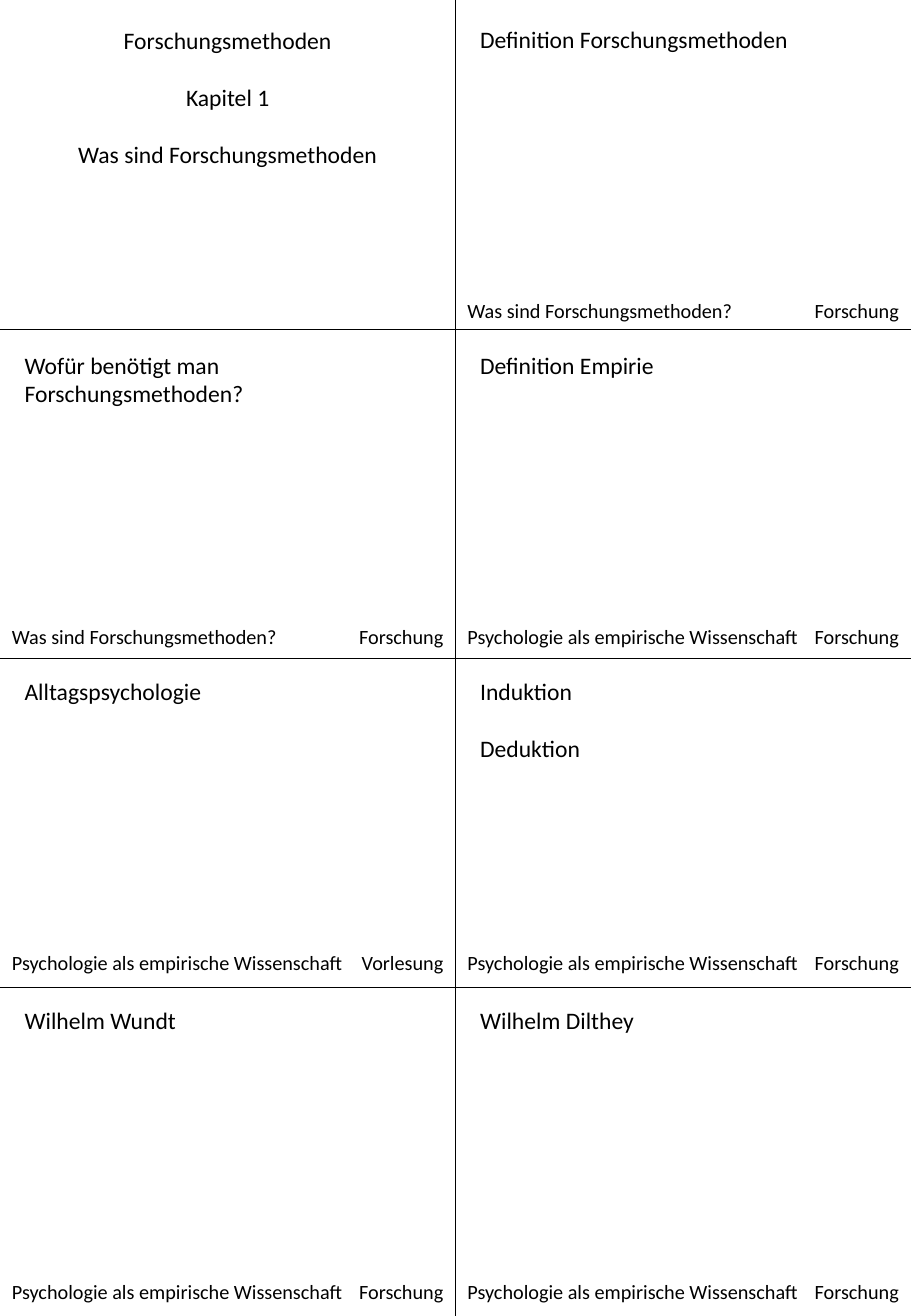
from math import ceil

from lxml.etree import SubElement
from pptx import Presentation
from pptx.dml.color import RGBColor
from pptx.enum.text import MSO_AUTO_SIZE, PP_ALIGN
from pptx.oxml.ns import qn
from pptx.util import Pt

COLORS = {"ink": "000000"}
FONT = "Calibri"
PAGE_W, PAGE_H = 540, 780
COLUMNS, ROWS = 2, 4
CARD_W, CARD_H = PAGE_W / COLUMNS, PAGE_H / ROWS
TITLE_LINE = 17
CHARS_PER_LINE = 32
TOP_GAPS = [11.5, 9.5, 7.5, 7.5]  # space above the title, by row

METHODS = "Was sind Forschungsmethoden?"
SCIENCE = "Psychologie als empirische Wissenschaft"

# Each card: title paragraphs, title alignment, chapter, subject
CARDS = [
    (["Forschungsmethoden", "Kapitel 1", "Was sind Forschungsmethoden"],
     PP_ALIGN.CENTER, None, None),
    (["Definition Forschungsmethoden"], PP_ALIGN.LEFT, METHODS, "Forschung"),
    (["Wofür benötigt man Forschungsmethoden?"], PP_ALIGN.LEFT, METHODS, "Forschung"),
    (["Definition Empirie"], PP_ALIGN.LEFT, SCIENCE, "Forschung"),
    (["Alltagspsychologie"], PP_ALIGN.LEFT, SCIENCE, "Vorlesung"),
    (["Induktion", "Deduktion"], PP_ALIGN.LEFT, SCIENCE, "Forschung"),
    (["Wilhelm Wundt"], PP_ALIGN.LEFT, SCIENCE, "Forschung"),
    (["Wilhelm Dilthey"], PP_ALIGN.LEFT, SCIENCE, "Forschung"),
]


def add_text(slide, box, paragraphs, size, align=PP_ALIGN.LEFT, wrap=True):
    frame = slide.shapes.add_textbox(*map(Pt, box)).text_frame
    frame.word_wrap = wrap
    frame.auto_size = MSO_AUTO_SIZE.SHAPE_TO_FIT_TEXT
    font_format = {"name": FONT, "size": Pt(size)}
    for index, wording in enumerate(paragraphs):
        paragraph = frame.add_paragraph() if index else frame.paragraphs[0]
        paragraph.alignment = align
        if index:
            paragraph.space_before = Pt(TITLE_LINE)
        run = paragraph.add_run()
        run.text = wording
        for key, value in font_format.items():
            setattr(run.font, key, value)
        run.font.color.rgb = RGBColor.from_string(COLORS["ink"])


def add_divider(slide, x1, y1, x2, y2):
    divider = slide.shapes.add_connector(1, *map(Pt, (x1, y1, x2, y2)))
    divider.line.width = Pt(0.5)
    divider.line.color.rgb = RGBColor.from_string(COLORS["ink"])
    SubElement(divider._element.spPr, qn("a:effectLst"))


def add_cut_lines(slide, width, height):
    for row in range(1, ROWS):
        add_divider(slide, 0, row * CARD_H, width, row * CARD_H)
    for column in range(1, COLUMNS):
        add_divider(slide, column * CARD_W, 0, column * CARD_W, height)


def add_card(slide, left, top, width, title, align, chapter, subject):
    # Title, with one line of space between its paragraphs
    lines = sum(ceil(len(part) / CHARS_PER_LINE) for part in title) + len(title) - 1
    title_box = (left + 7.5, top, width - 15, 7.2 + lines * TITLE_LINE)
    add_text(slide, title_box, title, 14, align)

    # Footer: chapter on the left, subject on the right
    if chapter:
        footer_top = top + 162
        add_text(slide, (left, footer_top, 216, 21.6), [chapter], 12)
        add_text(slide, (left + width - 64.8, footer_top, 64.8, 21.6), [subject], 12,
                 PP_ALIGN.RIGHT, wrap=False)


def main():
    deck = Presentation()
    deck.slide_width, deck.slide_height = Pt(PAGE_W), Pt(PAGE_H)
    slide = deck.slides.add_slide(deck.slide_layouts[6])

    add_cut_lines(slide, PAGE_W, PAGE_H)
    for index, card in enumerate(CARDS):
        row, column = divmod(index, COLUMNS)
        add_card(slide, column * CARD_W, row * CARD_H + TOP_GAPS[row], CARD_W, *card)

    deck.save("out.pptx")


if __name__ == "__main__":
    main()
